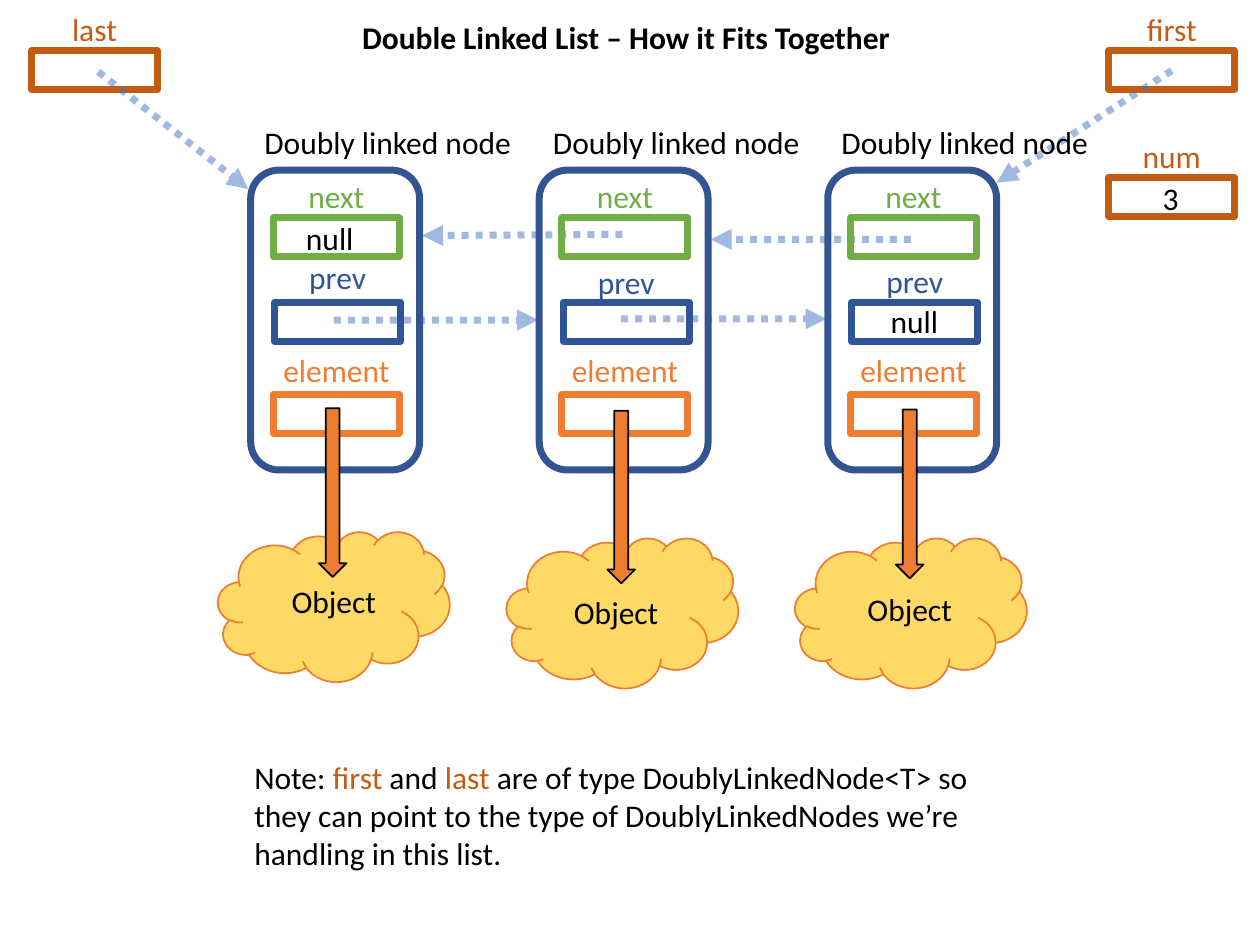
from dataclasses import dataclass

from pptx import Presentation
from pptx.dml.color import RGBColor
from pptx.enum.dml import MSO_LINE
from pptx.enum.shapes import MSO_CONNECTOR, MSO_SHAPE
from pptx.enum.text import MSO_AUTO_SIZE, PP_ALIGN
from pptx.oxml.ns import qn
from pptx.util import Inches, Pt
from lxml.etree import SubElement


@dataclass(frozen=True)
class Theme:
    font: str = "Calibri"
    size: int = 18
    heavy: int = 4
    thin: int = 1
    ink: str = "000000"
    variable: str = "C55A11"
    pointer: str = "4472C4"
    node: str = "325491"
    next: str = "70AD47"
    prev: str = "2F5597"
    element: str = "ED7D31"
    cloud: str = "FFD966"


@dataclass(frozen=True)
class Node:
    prev_label: float
    cloud: float
    object_label: tuple
    arrow: tuple


THEME = Theme()
NODE_LEFT, NODE_PITCH = 1.99, 2.29
BOX_SIZE = (1, 0.31)
NODES = [
    Node(2, 4.22, (2.15, 4.57), (3.24, 4.58)),
    Node(2.04, 4.27, (4.39, 4.66), (3.26, 4.63)),
    Node(2.03, 4.27, (6.72, 4.63), (3.25, 4.59)),
]
VARIABLES = [("first", 8.8, 0.4), ("last", 0.25, 0.4), ("num", 8.8, 1.41)]
VALUES = [("3", 9.13, 1.37, 0.33), ("null", 6.97, 2.35, 0.58), ("null", 2.33, 1.69, 0.58)]
POINTERS = [
    ((9.3, 0.56), (7.91, 1.45)),
    ((0.78, 0.57), (1.97, 1.5)),
    ((7.23, 1.9), (5.64, 1.9)),
    ((4.94, 1.86), (3.35, 1.87)),
    ((2.65, 2.54), (4.27, 2.54)),
    ((4.93, 2.53), (6.56, 2.53)),
]


def set_format(target, values):
    for name, value in values.items():
        setattr(target, name, value)


def add_text(slide, box, runs, align=PP_ALIGN.CENTER, wrap=True, bold=False):
    frame = slide.shapes.add_textbox(*map(Inches, box)).text_frame
    set_format(frame, {"word_wrap": wrap, "auto_size": MSO_AUTO_SIZE.SHAPE_TO_FIT_TEXT})
    paragraph = frame.paragraphs[0]
    paragraph.alignment = align
    for text, color in runs:
        run = paragraph.add_run()
        run.text = text
        set_format(run.font, {"name": THEME.font, "size": Pt(THEME.size), "bold": bold})
        run.font.color.rgb = RGBColor.from_string(color)


def add_outline(slide, kind, box, line, width=THEME.heavy, fill=None):
    shape = slide.shapes.add_shape(kind, *map(Inches, box))
    shape.shadow.inherit = False
    if fill:
        shape.fill.solid()
        shape.fill.fore_color.rgb = RGBColor.from_string(fill)
    else:
        shape.fill.background()
    shape.line.color.rgb = RGBColor.from_string(line)
    shape.line.width = Pt(width)
    return shape


def add_pointer(slide, start, end):
    connector = slide.shapes.add_connector(
        MSO_CONNECTOR.STRAIGHT, *map(Inches, (*start, *end)))
    line = connector.line
    line.color.rgb = RGBColor.from_string(THEME.pointer)
    set_format(line, {"width": Pt(THEME.heavy), "dash_style": MSO_LINE.ROUND_DOT})
    properties = connector.element.spPr
    outline = properties.find(qn("a:ln"))
    color = outline.find(qn("a:solidFill")).find(qn("a:srgbClr"))
    SubElement(color, qn("a:alpha"), val="50000")
    SubElement(outline, qn("a:tailEnd"), type="triangle")
    SubElement(properties, qn("a:effectLst"))


def add_field(slide, name, color, left, top, label_top, label_width=1):
    add_outline(slide, MSO_SHAPE.RECTANGLE, (left, top, *BOX_SIZE), color)
    label_left = left + (BOX_SIZE[0] - label_width) / 2
    add_text(slide, (label_left, label_top, label_width, 0.4), [(name, color)])


def add_node(slide, left, node):
    add_outline(slide, MSO_SHAPE.ROUNDED_RECTANGLE, (left, 1.35, 1.34, 2.38), THEME.node)
    add_text(slide, (left + 0.01, 0.93, 2.19, 0.4), [("Doubly linked node", THEME.ink)],
             PP_ALIGN.LEFT, wrap=False)
    field_left = left + 0.18
    add_field(slide, "next", THEME.next, field_left, 1.73, 1.36)
    add_field(slide, "prev", THEME.prev, field_left + 0.01, 2.4, node.prev_label)
    add_field(slide, "element", THEME.element, field_left, 3.13, 2.74, 1.06)
    add_outline(slide, MSO_SHAPE.CLOUD, (left - 0.26, node.cloud, 1.84, 1.19),
                THEME.element, THEME.thin, THEME.cloud)
    add_object_arrow(slide, left + 0.65, *node.arrow)
    add_text(slide, (*node.object_label, 1, 0.4), [("Object", THEME.ink)])


def add_object_arrow(slide, center, top, bottom, thickness=0.22):
    length = bottom - top
    box = (center - length / 2, (top + bottom - thickness) / 2, length, thickness)
    arrow = add_outline(slide, MSO_SHAPE.RIGHT_ARROW, box, THEME.ink, THEME.thin, THEME.element)
    arrow.rotation = 90


def main():
    presentation = Presentation()
    set_format(presentation, {"slide_width": Inches(10), "slide_height": Inches(7.5)})
    slide = presentation.slides.add_slide(presentation.slide_layouts[6])

    for name, left, top in VARIABLES:
        add_field(slide, name, THEME.variable, left, top, top - 0.37)
    for start, end in POINTERS:
        add_pointer(slide, start, end)
    for text, left, top, width in VALUES:
        add_text(slide, (left, top, width, 0.4), [(text, THEME.ink)], PP_ALIGN.LEFT, wrap=False)
    for index, node in enumerate(NODES):
        add_node(slide, NODE_LEFT + index * NODE_PITCH, node)

    add_text(slide, (0.11, 0.09, 9.72, 0.4),
             [("Double Linked List – How it Fits Together", THEME.ink)], bold=True)
    add_text(slide, (1.92, 5.97, 6.21, 1.01), [
        ("Note: ", THEME.ink),
        ("first", THEME.variable),
        (" and ", THEME.ink),
        ("last", THEME.variable),
        (" are of type DoublyLinkedNode<T> so they can point to the type of "
         "DoublyLinkedNodes we’re handling in this list.", THEME.ink),
    ], PP_ALIGN.LEFT)
    presentation.save("out.pptx")


if __name__ == "__main__":
    main()
